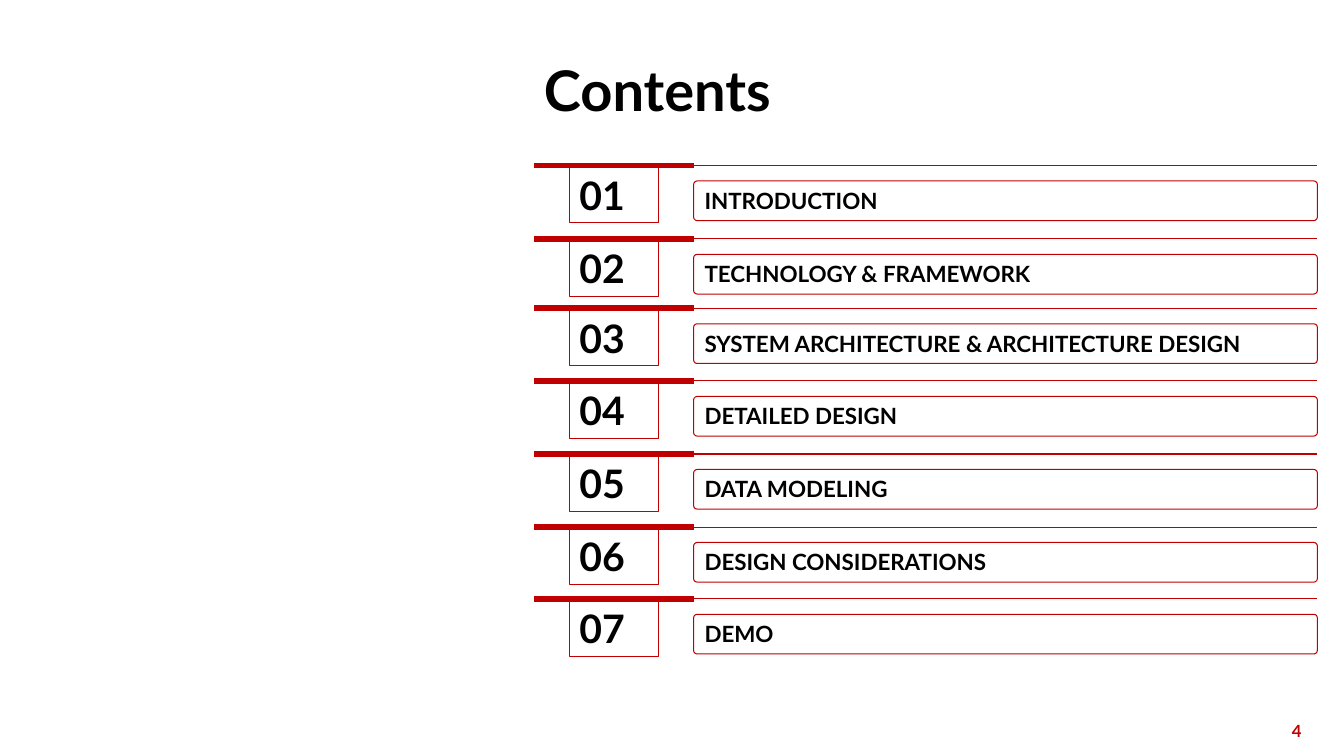
"""Build the contents slide: a title, seven numbered sections and a page number."""
from lxml import etree
from pptx import Presentation
from pptx.dml.color import RGBColor
from pptx.enum.shapes import MSO_CONNECTOR, MSO_SHAPE
from pptx.enum.text import MSO_ANCHOR, PP_ALIGN
from pptx.oxml.ns import qn
from pptx.util import Cm, Pt

STRAIGHT = MSO_CONNECTOR.STRAIGHT
RECTANGLE, ROUNDED = MSO_SHAPE.RECTANGLE, MSO_SHAPE.ROUNDED_RECTANGLE
TOP, BOTTOM = MSO_ANCHOR.TOP, MSO_ANCHOR.BOTTOM
LEFT, RIGHT = PP_ALIGN.LEFT, PP_ALIGN.RIGHT
RED, BLACK = "C00000", "000000"
FONT = "Lato"


def paint(color_format, hex_color):
    color_format.rgb = RGBColor.from_string(hex_color)


def write(holder, text, size, color=BLACK, anchor=TOP, align=LEFT, spacing=1.0):
    frame = holder.text_frame
    frame.word_wrap = True
    frame.vertical_anchor = anchor
    paragraph = frame.paragraphs[0]
    paragraph.alignment = align
    paragraph.line_spacing = spacing
    run = paragraph.add_run()
    run.text = text
    run.font.name = FONT
    run.font.size = Pt(size)
    run.font.bold = True
    paint(run.font.color, color)


deck = Presentation()
deck.slide_width, deck.slide_height = Cm(33.87), Cm(19.05)
slide = deck.slides.add_slide(deck.slide_layouts[6])
shapes = slide.shapes

page_number = shapes.add_textbox(Cm(25.43), Cm(18.03), Cm(7.62), Cm(1.02))
write(page_number, "4", 12, color=RED, align=RIGHT)

title = shapes.add_textbox(Cm(13.46), Cm(1.45), Cm(19.74), Cm(1.78))
write(title, "Contents", 40, anchor=BOTTOM, spacing=0.9)

sections = [
    (4.17, "INTRODUCTION"),
    (6.02, "TECHNOLOGY & FRAMEWORK"),
    (7.77, "SYSTEM ARCHITECTURE & ARCHITECTURE DESIGN"),
    (9.6, "DETAILED DESIGN"),
    (11.44, "DATA MODELING"),
    (13.28, "DESIGN CONSIDERATIONS"),
    (15.09, "DEMO"),
]

for number, (top, heading) in enumerate(sections, start=1):
    for right, weight in ((33.2, 0.75), (17.48, 4.25)):
        rule = shapes.add_connector(STRAIGHT, Cm(13.46), Cm(top), Cm(right), Cm(top))
        paint(rule.line.color, RED)
        rule.line.width = Pt(weight)
        etree.SubElement(rule._element.spPr, qn("a:effectLst"))

    number_box = shapes.add_shape(RECTANGLE, Cm(14.35), Cm(top), Cm(2.25), Cm(1.45))
    heading_box = shapes.add_shape(ROUNDED, Cm(17.48), Cm(top + 0.39), Cm(15.72), Cm(1))
    heading_box.adjustments[0] = 0.09
    for box in (number_box, heading_box):
        box.shadow.inherit = False
        box.fill.background()
        paint(box.line.color, RED)
        box.line.width = Pt(0.75)
    write(number_box, f"{number:02d}", 28, anchor=BOTTOM)
    write(heading_box, heading, 16)

deck.save("out.pptx")
